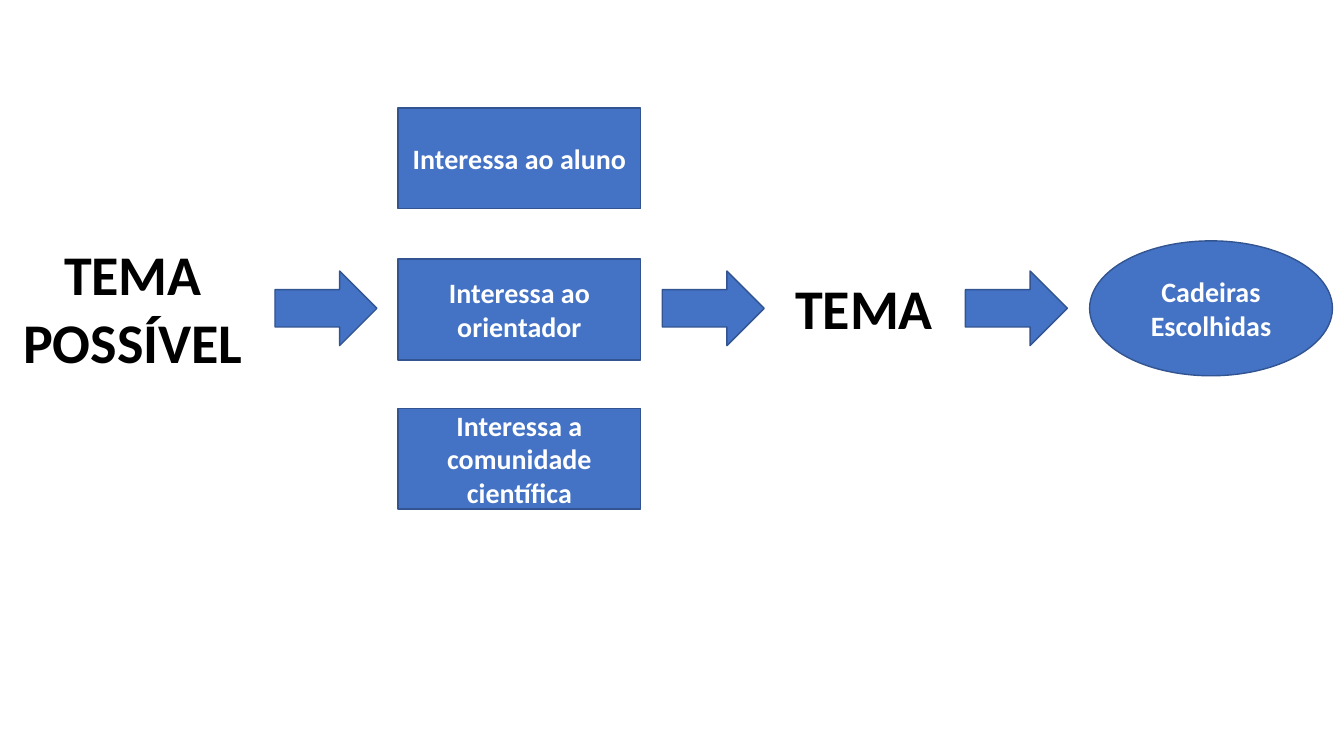
from pptx import Presentation
from pptx.dml.color import RGBColor
from pptx.enum.shapes import MSO_SHAPE
from pptx.enum.text import MSO_ANCHOR, MSO_AUTO_SIZE, PP_ALIGN
from pptx.util import Cm, Pt

BLUE = RGBColor(0x44, 0x72, 0xC4)
DARK_BLUE = RGBColor(0x32, 0x54, 0x91)
WHITE = RGBColor(0xFF, 0xFF, 0xFF)
BLACK = RGBColor(0x00, 0x00, 0x00)
FONT = "Calibri"

STEP_WIDTH = 6.12
CRITERION_HEIGHT = 2.54
ARROW_TOP, ARROW_WIDTH, ARROW_HEIGHT = 6.83, 2.57, 1.88


def write_lines(frame, lines, size, color, align):
    for index, line in enumerate(lines):
        paragraph = frame.add_paragraph() if index else frame.paragraphs[0]
        paragraph.alignment = align
        run = paragraph.add_run()
        run.text = line
        run.font.name = FONT
        run.font.size = Pt(size)
        run.font.bold = True
        run.font.color.rgb = color


def add_step(shapes, kind, left, top, width, height, lines=()):
    step = shapes.add_shape(kind, Cm(left), Cm(top), Cm(width), Cm(height))
    step.shadow.inherit = False
    step.fill.solid()
    step.fill.fore_color.rgb = BLUE
    step.line.color.rgb = DARK_BLUE
    step.line.width = Pt(1)
    step.text_frame.word_wrap = True
    step.text_frame.vertical_anchor = MSO_ANCHOR.MIDDLE
    write_lines(step.text_frame, lines, 20, WHITE, PP_ALIGN.CENTER)


def add_theme(shapes, left, top, width, height, lines, align):
    theme = shapes.add_textbox(Cm(left), Cm(top), Cm(width), Cm(height))
    theme.text_frame.word_wrap = False
    theme.text_frame.auto_size = MSO_AUTO_SIZE.SHAPE_TO_FIT_TEXT
    write_lines(theme.text_frame, lines, 40, BLACK, align)


def main():
    deck = Presentation()
    deck.slide_width = Cm(33.87)
    deck.slide_height = Cm(19.05)
    shapes = deck.slides.add_slide(deck.slide_layouts[6]).shapes

    # Possible theme and final theme
    add_theme(shapes, 0.3, 5.92, 6.1, 3.68, ["TEMA", "POSSÍVEL"], PP_ALIGN.CENTER)
    add_theme(shapes, 19.79, 6.78, 4.01, 1.96, ["TEMA"], PP_ALIGN.LEFT)

    # Criteria that the theme must meet
    criteria = shapes.add_group_shape()
    for top, criterion in (
        (2.72, "Interessa ao aluno"),
        (6.53, "Interessa ao orientador"),
        (10.29, "Interessa a comunidade científica"),
    ):
        add_step(criteria.shapes, MSO_SHAPE.RECTANGLE, 10.03, top,
                 STEP_WIDTH, CRITERION_HEIGHT, [criterion])

    # Chosen courses
    add_step(shapes, MSO_SHAPE.OVAL, 27.46, 6.07, STEP_WIDTH, 3.4,
             ["Cadeiras", "Escolhidas"])

    # Arrows between the stages
    for left in (6.93, 16.69, 24.33):
        add_step(shapes, MSO_SHAPE.RIGHT_ARROW, left, ARROW_TOP,
                 ARROW_WIDTH, ARROW_HEIGHT)

    deck.save("out.pptx")


if __name__ == "__main__":
    main()
